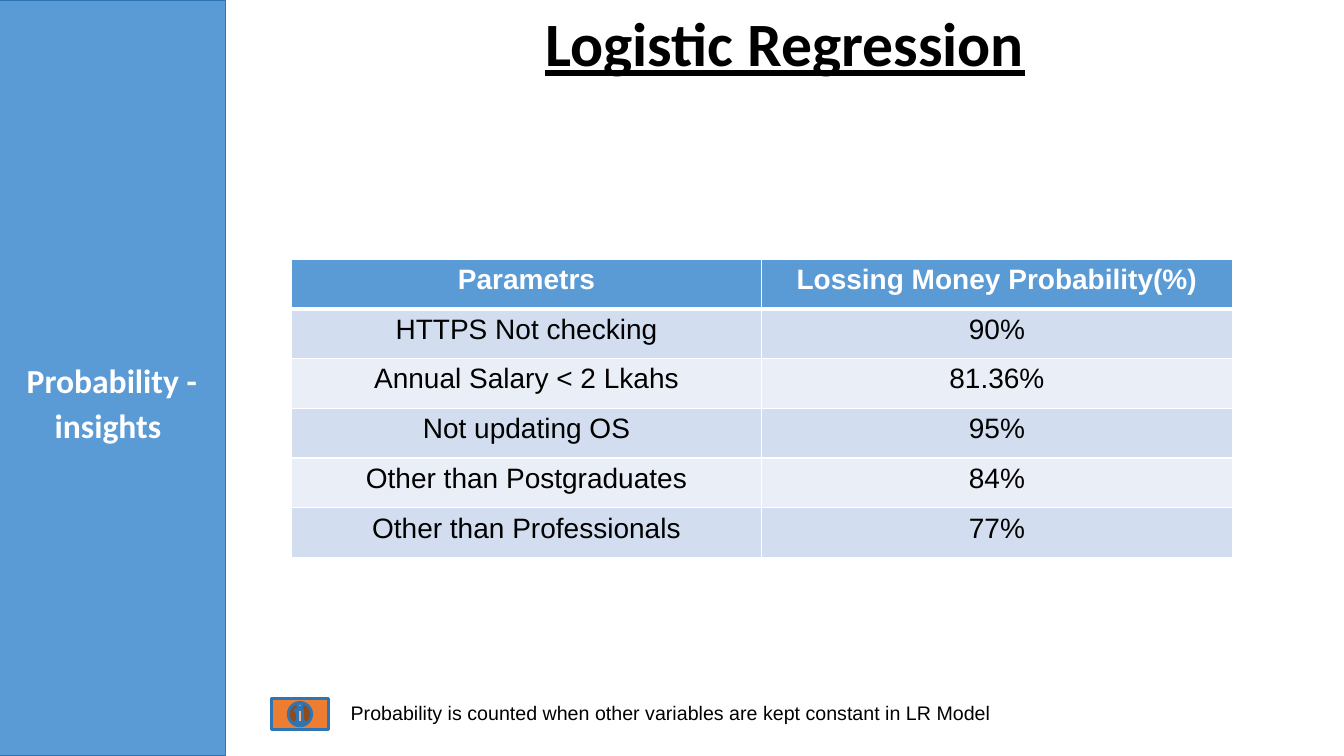
"""Build the slide of logistic regression probability insights."""
import pptx
import pptx.util
import pptx.dml.color
import pptx.enum.shapes
import pptx.enum.text
import pptx.oxml
import pptx.oxml.ns

Inches, Pt = pptx.util.Inches, pptx.util.Pt
SHAPE = pptx.enum.shapes.MSO_SHAPE
ALIGN = pptx.enum.text.PP_ALIGN
MIDDLE = pptx.enum.text.MSO_ANCHOR.MIDDLE
COLORS = {
    "blue": "5B9BD5", "outline": "2E75B6", "orange": "ED7D31",
    "band": "D2DEEF", "light": "EAEFF7", "white": "FFFFFF", "black": "000000",
}


def rgb(name):
    return pptx.dml.color.RGBColor.from_string(COLORS[name])


def write(frame, text, font, size, color, bold=False, align=ALIGN.CENTER):
    frame.word_wrap = True
    paragraph = frame.paragraphs[0]
    paragraph.text = text
    paragraph.alignment = align
    paragraph.font.name = font
    paragraph.font.size = Pt(size)
    paragraph.font.bold = bold
    paragraph.font.color.rgb = rgb(color)
    return paragraph


deck = pptx.Presentation()
deck.slide_width, deck.slide_height = Inches(13.33), Inches(7.5)
slide = deck.slides.add_slide(deck.slide_layouts[6])
shapes = slide.shapes

rows = [
    (" Parametrs ", "Lossing Money Probability(%)"),
    ("HTTPS Not checking", "90%"),
    ("Annual Salary < 2 Lkahs", "81.36%"),
    ("Not updating OS", "95%"),
    ("Other than Postgraduates", "84%"),
    ("Other than Professionals", "77%"),
]
probabilities = shapes.add_table(
    len(rows), 2, Inches(2.89), Inches(2.57), Inches(9.33), Inches(2.96)).table
for r, row in enumerate(rows):
    header = r == 0
    fill = "blue" if header else ("light", "band")[r % 2]
    for c, text in enumerate(row):
        cell = probabilities.cell(r, c)
        write(cell.text_frame, text, "Arial", 20, "white" if header else "black", header)
        properties = cell._tc.get_or_add_tcPr()
        for side in "LRTB":
            thick = (side == "B" and r == 0) or (side == "T" and r == 1)
            properties.append(pptx.oxml.parse_xml(
                f'<a:ln{side} {pptx.oxml.ns.nsdecls("a")} w="{Pt(3 if thick else 1)}">'
                f'<a:solidFill><a:srgbClr val="{COLORS["white"]}"/></a:solidFill></a:ln{side}>'))
        cell.fill.solid()
        cell.fill.fore_color.rgb = rgb(fill)

sidebar = shapes.add_shape(SHAPE.RECTANGLE, Inches(-0.02), 0, Inches(2.26), deck.slide_height)
info = shapes.add_shape(
    SHAPE.ACTION_BUTTON_INFORMATION, Inches(2.69), Inches(6.93), Inches(0.57), Inches(0.31))
for part, fill, width in ((sidebar, "blue", 1), (info, "orange", 2)):
    part.shadow.inherit = False
    part.fill.solid()
    part.fill.fore_color.rgb = rgb(fill)
    part.line.color.rgb = rgb("outline")
    part.line.width = Pt(width)

sidebar.text_frame.vertical_anchor = MIDDLE
sidebar.text_frame.margin_top = Inches(0.5)
topic = write(sidebar.text_frame, "Probability - insights ", "Calibri", 24, "white", True)
topic.line_spacing = 1.1

title = shapes.add_textbox(Inches(2.24), 0, Inches(11.09), Inches(0.93)).text_frame
title.vertical_anchor = MIDDLE
heading = write(title, "Logistic Regression", "Calibri", 44, "black", True)
heading.line_spacing = 0.9
heading.font.underline = True

footnote = shapes.add_textbox(Inches(3.38), Inches(6.9), Inches(6.57), Inches(0.34)).text_frame
write(footnote, "Probability is counted when other variables are kept constant in LR Model",
      "Arial", 14, "black", align=ALIGN.LEFT)

deck.save("out.pptx")
